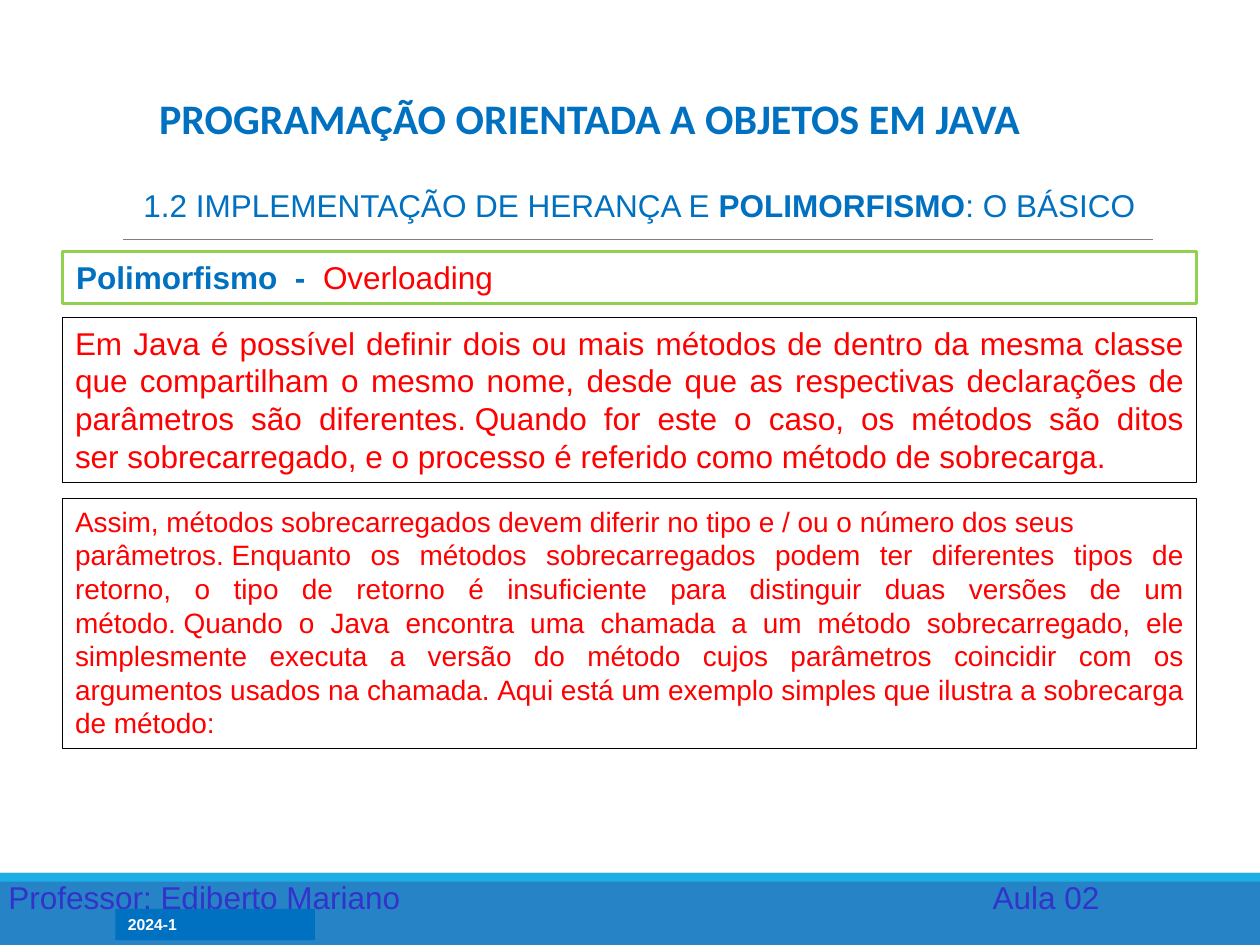
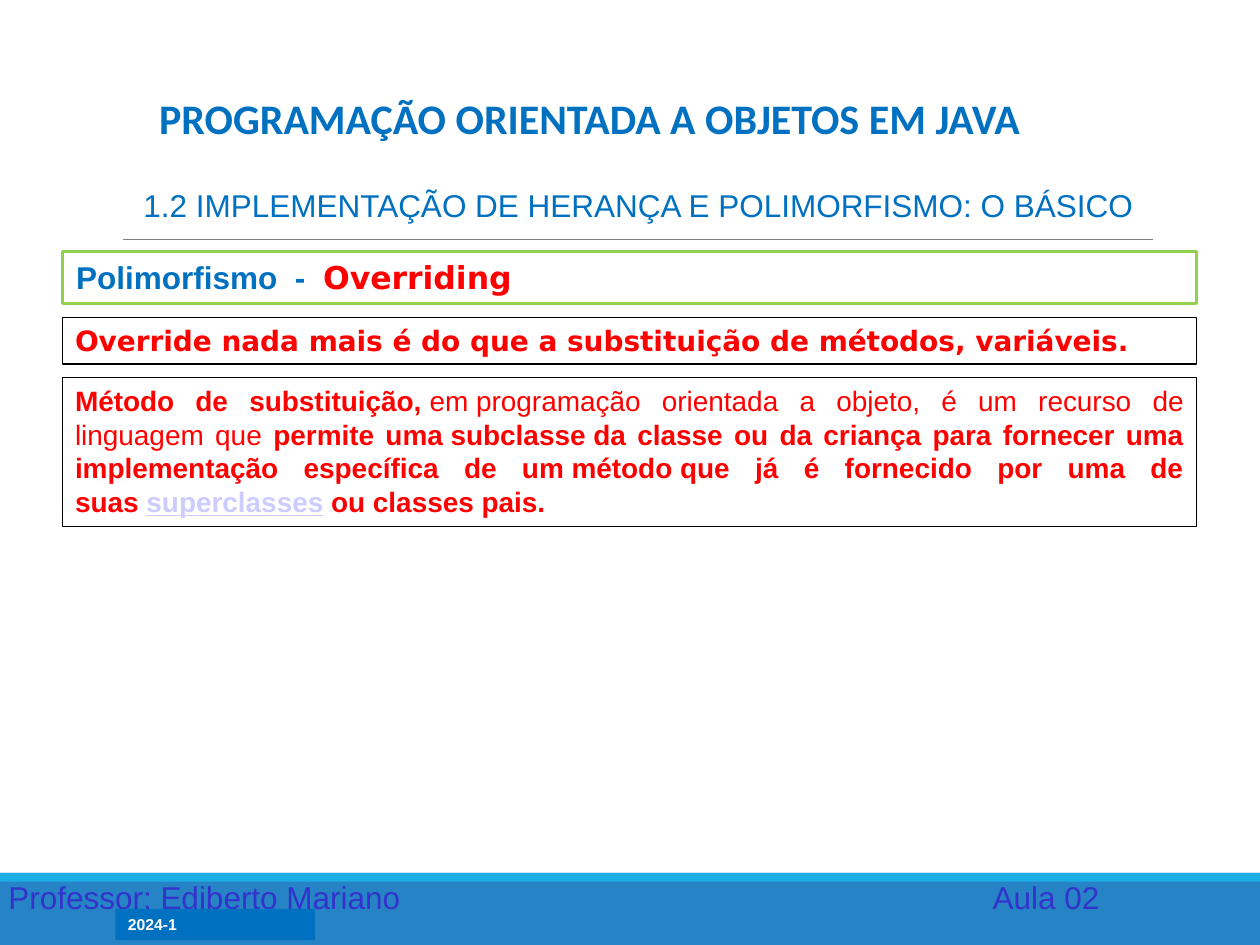
from dataclasses import dataclass

import pptx
import pptx.dml.color
import pptx.enum.shapes
import pptx.enum.text
import pptx.oxml
import pptx.oxml.ns
import pptx.util
from pptx.util import Pt

ALIGN = pptx.enum.text.PP_ALIGN
ANCHOR = pptx.enum.text.MSO_ANCHOR
BLUE, RED, GREEN, BLACK, WHITE = "0070C0", "FF0000", "92D050", "000000", "FFFFFF"
BAND_BLUE, STRIPE_BLUE, FOOTER_INK = "2683C6", "1CADE4", "3333CC"
RULE_GREY, LINK_LILAC = "7F7F7F", "CCCCFF"
BODY_LEFT, BODY_WIDTH = 35.8, 648
HARD_SPACE = chr(160)  # written as ~ in the texts below


@dataclass(frozen=True)
class Span:
    text: str
    color: str = RED
    bold: bool = False
    font: str = "Arial"
    underline: bool = False


@dataclass(frozen=True)
class Box:
    left: float
    top: float
    width: float
    height: float
    fill: str | None = None
    line: str | None = None
    line_width: float = 0.75


@dataclass(frozen=True)
class Passage:
    """A framed block of justified body text."""
    top: float
    height: float
    size: int
    paragraphs: list[list[Span]]


@dataclass(frozen=True)
class Lesson:
    subtitle: list[Span]
    topic: Span
    passages: list[Passage]


TITLE = Span("PROGRAMAÇÃO ORIENTADA A OBJETOS EM JAVA", BLUE, True, "Calibri")
TITLE_BOX = Box(74.5, 47.8, 524.9, 37.4)
SUBTITLE_BOX = Box(74.9, 102.9, 624.2, 29.5)
TOPIC_BOX = Box(BODY_LEFT, 143.8, BODY_WIDTH, 29.5, line=GREEN, line_width=1.75)
FOOTER_BANDS = [Box(0, 498.8, 720, 41.2, fill=BAND_BLUE),
                Box(0, 498.8, 720, 5, fill=STRIPE_BLUE)]
FOOTER_BOX = Box(-2.3, 498.2, 648, 28.8)
TERM_BOX = Box(66, 519.3, 114, 18, fill=BLUE)
AULA_TAB = 562.5
TOPIC_INDENT = 0.6

LESSONS = [
    Lesson(
        [Span("1.2 IMPLEMENTAÇÃO DE HERANÇA E ", BLUE),
         Span("POLIMORFISMO", BLUE, True),
         Span(": O BÁSICO", BLUE)],
        Span("Overloading"),
        [
            Passage(181.4, 94.3, 18, [[Span(
                "Em Java é possível definir dois ou mais métodos de dentro da mesma classe "
                "que compartilham o mesmo nome, desde que as respectivas declarações de "
                "parâmetros são diferentes.~Quando for este o caso, os métodos são ditos "
                "ser~sobrecarregado,~e o processo é referido como~método de sobrecarga.")]]),
            Passage(284.7, 143.2, 16, [
                [Span("Assim,~métodos sobrecarregados devem diferir no tipo e / ou o "
                      "número dos seus")],
                [Span("parâmetros.~Enquanto os métodos sobrecarregados podem ter diferentes "
                      "tipos de retorno, o tipo de retorno é insuficiente para distinguir "
                      "duas versões de um método.~Quando o Java encontra uma chamada a um "
                      "método sobrecarregado, ele simplesmente executa a versão do método "
                      "cujos parâmetros coincidir com os argumentos usados na chamada.~Aqui "
                      "está um exemplo simples que ilustra a sobrecarga de método:")]]),
        ],
    ),
    Lesson(
        [Span("1.2 IMPLEMENTAÇÃO DE HERANÇA E POLIMORFISMO: O BÁSICO", BLUE)],
        Span("Overriding", bold=True, font="DejaVu Sans"),
        [
            Passage(181.4, 26.7, 16, [[Span(
                "Override nada mais é do que a substituição de métodos, variáveis.",
                bold=True, font="DejaVu Sans")]]),
            Passage(215.7, 85, 16, [[
                Span("Método de substituição,", bold=True),
                Span("~em~programação orientada a objeto, é um recurso de linguagem que "),
                Span("permite uma~subclasse~da classe ou da criança para fornecer uma "
                     "implementação específica de um~método~que já é fornecido por uma de "
                     "suas~", bold=True),
                Span("superclasses", LINK_LILAC, True, underline=True),
                Span("~ou classes pais.~", bold=True)]]),
        ],
    ),
]


def rgb(color: str) -> pptx.dml.color.RGBColor:
    return pptx.dml.color.RGBColor.from_string(color)


def place(shape, box: Box) -> None:
    shape.left, shape.top = Pt(box.left), Pt(box.top)
    shape.width, shape.height = Pt(box.width), Pt(box.height)


def add_box(page, box: Box):
    shape = page.shapes.add_shape(
        pptx.enum.shapes.MSO_SHAPE.RECTANGLE, 0, 0, 0, 0)
    place(shape, box)
    shape.shadow.inherit = False
    if box.fill:
        shape.fill.solid()
        shape.fill.fore_color.rgb = rgb(box.fill)
    else:
        shape.fill.background()
    if box.line:
        shape.line.color.rgb = rgb(box.line)
        shape.line.width = Pt(box.line_width)
    else:
        shape.line.fill.background()
    return shape


def write(shape, paragraphs: list[list[Span]], size: int,
          align=ALIGN.LEFT, anchor=ANCHOR.TOP, indent: float = 0) -> None:
    frame = shape.text_frame
    frame.word_wrap = True
    frame.auto_size = pptx.enum.text.MSO_AUTO_SIZE.NONE
    frame.vertical_anchor = anchor
    frame.margin_left, frame.margin_right = Pt(7.2 + indent), Pt(7.2)
    frame.margin_top = frame.margin_bottom = Pt(3.6)
    for index, spans in enumerate(paragraphs):
        para = frame.add_paragraph() if index else frame.paragraphs[0]
        para.alignment = align
        for span in spans:
            run = para.add_run()
            run.text = span.text.replace("~", HARD_SPACE)
            run.font.name = span.font
            run.font.size = Pt(size)
            run.font.bold = span.bold
            run.font.underline = span.underline
            run.font.color.rgb = rgb(span.color)


def add_tab_stop(para, position: float) -> None:
    properties = para._p.get_or_add_pPr()
    tabs = pptx.oxml.parse_xml(
        f'<a:tabLst {pptx.oxml.ns.nsdecls("a")}>'
        f'<a:tab pos="{Pt(position)}" algn="l"/></a:tabLst>')
    properties.append(tabs)


def add_rule(page) -> None:
    rule = page.shapes.add_connector(
        pptx.enum.shapes.MSO_CONNECTOR.STRAIGHT, Pt(70.5), Pt(136.8), Pt(659), Pt(136.8))
    rule.line.color.rgb = rgb(RULE_GREY)
    rule.line.width = Pt(0.5)
    rule._element.spPr.append(pptx.oxml.parse_xml(
        f'<a:effectLst {pptx.oxml.ns.nsdecls("a")}/>'))


def add_frame(page) -> None:
    """Draw the title, rule and footer that every slide shares."""
    for band in FOOTER_BANDS:
        add_box(page, band)
    add_rule(page)
    footer = add_box(page, FOOTER_BOX)
    write(footer, [[Span("Professor: Ediberto Mariano\tAula 02", FOOTER_INK)]], 18)
    add_tab_stop(footer.text_frame.paragraphs[0], AULA_TAB)
    write(add_box(page, TERM_BOX), [[Span("2024-1", WHITE, True)]], 9,
          anchor=ANCHOR.MIDDLE)
    title = page.shapes.title
    place(title, TITLE_BOX)
    write(title, [[TITLE]], 24, ALIGN.CENTER, ANCHOR.BOTTOM)


def add_lesson(deck, lesson: Lesson) -> None:
    page = deck.slides.add_slide(deck.slide_layouts.get_by_name("Title Only"))
    add_frame(page)
    write(add_box(page, SUBTITLE_BOX), [lesson.subtitle], 18, ALIGN.JUSTIFY)
    write(add_box(page, TOPIC_BOX),
          [[Span("Polimorfismo  -  ", BLUE, True), lesson.topic]], 18,
          indent=TOPIC_INDENT)
    for passage in lesson.passages:
        box = Box(BODY_LEFT, passage.top, BODY_WIDTH, passage.height, line=BLACK)
        write(add_box(page, box), passage.paragraphs, passage.size, ALIGN.JUSTIFY)


def main() -> None:
    deck = pptx.Presentation()
    deck.slide_width, deck.slide_height = Pt(720), Pt(540)
    for lesson in LESSONS:
        add_lesson(deck, lesson)
    deck.save("out.pptx")


if __name__ == "__main__":
    main()
